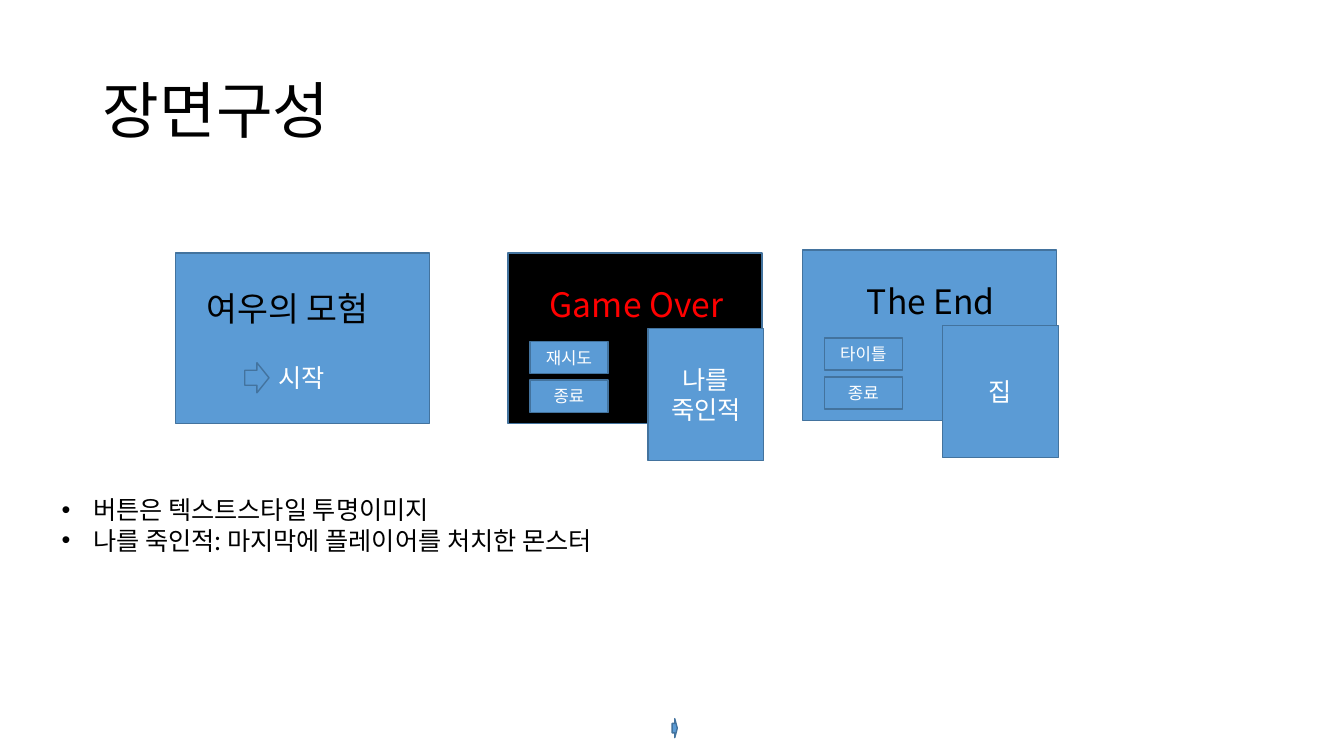
"""Build the scene layout slide with three game screens and their notes."""
import pptx
import pptx.util
import pptx.dml.color
import pptx.enum.shapes
import pptx.enum.text
import lxml.etree
from dataclasses import dataclass

Cm, Pt = pptx.util.Cm, pptx.util.Pt
RGB = pptx.dml.color.RGBColor.from_string
MSO = pptx.enum.shapes.MSO_SHAPE
ALIGN = pptx.enum.text.PP_ALIGN
ANCHOR = pptx.enum.text.MSO_ANCHOR
FIT = pptx.enum.text.MSO_AUTO_SIZE


@dataclass
class Theme:
    font: str = "Noto Sans CJK KR"
    blue: str = "5B9BD5"
    outline: str = "43739E"
    black: str = "000000"
    white: str = "FFFFFF"
    red: str = "FF0000"
    title: int = 44
    heading: int = 24
    body: int = 18
    button: int = 12


theme = Theme()


def write(sp, lines, size, color, align=ALIGN.CENTER, anchor=ANCHOR.MIDDLE):
    tf = sp.text_frame
    tf.word_wrap = True
    tf.vertical_anchor = anchor
    tf.text = "\n".join(lines)
    for p in tf.paragraphs:
        p.alignment = align
        p.space_before = Pt(0)
        p.font.size = Pt(size)
        p.font.name = theme.font
        p.font.color.rgb = RGB(color)
        latin = p.font._element.find(pptx.oxml.ns.qn("a:latin"))
        ea = lxml.etree.Element(pptx.oxml.ns.qn("a:ea"), typeface=theme.font)
        latin.addnext(ea)
    return tf


def draw(kind, x, y, w, h, fill=theme.blue):
    sp = s.shapes.add_shape(kind, Cm(x), Cm(y), Cm(w), Cm(h))
    sp.shadow.inherit = False
    sp.fill.solid()
    sp.fill.fore_color.rgb = RGB(fill)
    sp.line.color.rgb = RGB(theme.outline)
    sp.line.width = Pt(1)
    return sp


prs = pptx.Presentation()
prs.slide_width, prs.slide_height = Cm(33.87), Cm(19.05)
s = prs.slides.add_slide(prs.slide_layouts[1])

title, notes = s.placeholders
title.left, title.top, title.width, title.height = Cm(2.34), Cm(1.02), Cm(29.21), Cm(3.68)
tf = write(title, ["장면구성"], theme.title, theme.black, ALIGN.LEFT)
tf.paragraphs[0].line_spacing = 0.9

notes.left, notes.top, notes.width, notes.height = Cm(1.3), Cm(12.34), Cm(17.07), Cm(1.8)
tf = write(notes, ["버튼은 텍스트스타일 투명이미지", "나를 죽인적: 마지막에 플레이어를 처치한 몬스터"],
           theme.body, theme.black, ALIGN.LEFT, ANCHOR.TOP)
tf.auto_size = FIT.SHAPE_TO_FIT_TEXT
for p in tf.paragraphs:
    pPr = p._p.get_or_add_pPr()
    pPr.set("marL", str(Cm(0.79)))
    pPr.set("indent", str(-Cm(0.79)))

screens = [
    (4.42, 6.38, theme.blue, "여우의 모험", theme.black, ALIGN.LEFT, 0.53, 0.76, [], None),
    (12.8, 6.38, theme.black, "Game Over", theme.red, ALIGN.CENTER, 0.56, 0.66,
     ["재시도", "종료"], "나를 죽인적"),
    (20.22, 6.3, theme.blue, "The End", theme.black, ALIGN.CENTER, 0.56, 0.66,
     ["타이틀", "종료"], "집"),
]
for x, y, fill, heading, color, align, dx, dy, buttons, character in screens:
    draw(MSO.FLOWCHART_PROCESS, x, y, 6.4, 4.29, fill)
    box = s.shapes.add_textbox(Cm(x + dx), Cm(y + dy), Cm(5.36), Cm(1.27))
    tf = write(box, [heading], theme.heading, color, align, ANCHOR.TOP)
    tf.auto_size = FIT.SHAPE_TO_FIT_TEXT
    for i, label in enumerate(buttons):
        button = draw(MSO.RECTANGLE, x + 0.56, y + 2.22 + 0.98 * i, 1.96, 0.81)
        write(button, [label], theme.button, theme.white)
    if character:
        card = draw(MSO.RECTANGLE, x + 3.53, y + 1.9, 2.92, 3.33)
        write(card, [character], theme.body, theme.white)

start = s.shapes.add_textbox(Cm(6.38), Cm(8.99), Cm(2.46), Cm(1.02))
write(start, ["시작"], theme.body, theme.white)
for x, y, w, h in [(16.94, 18.11, 0.13, 0.48), (6.17, 9.14, 0.61, 0.76)]:
    draw(MSO.RIGHT_ARROW, x, y, w, h)

prs.save("out.pptx")
